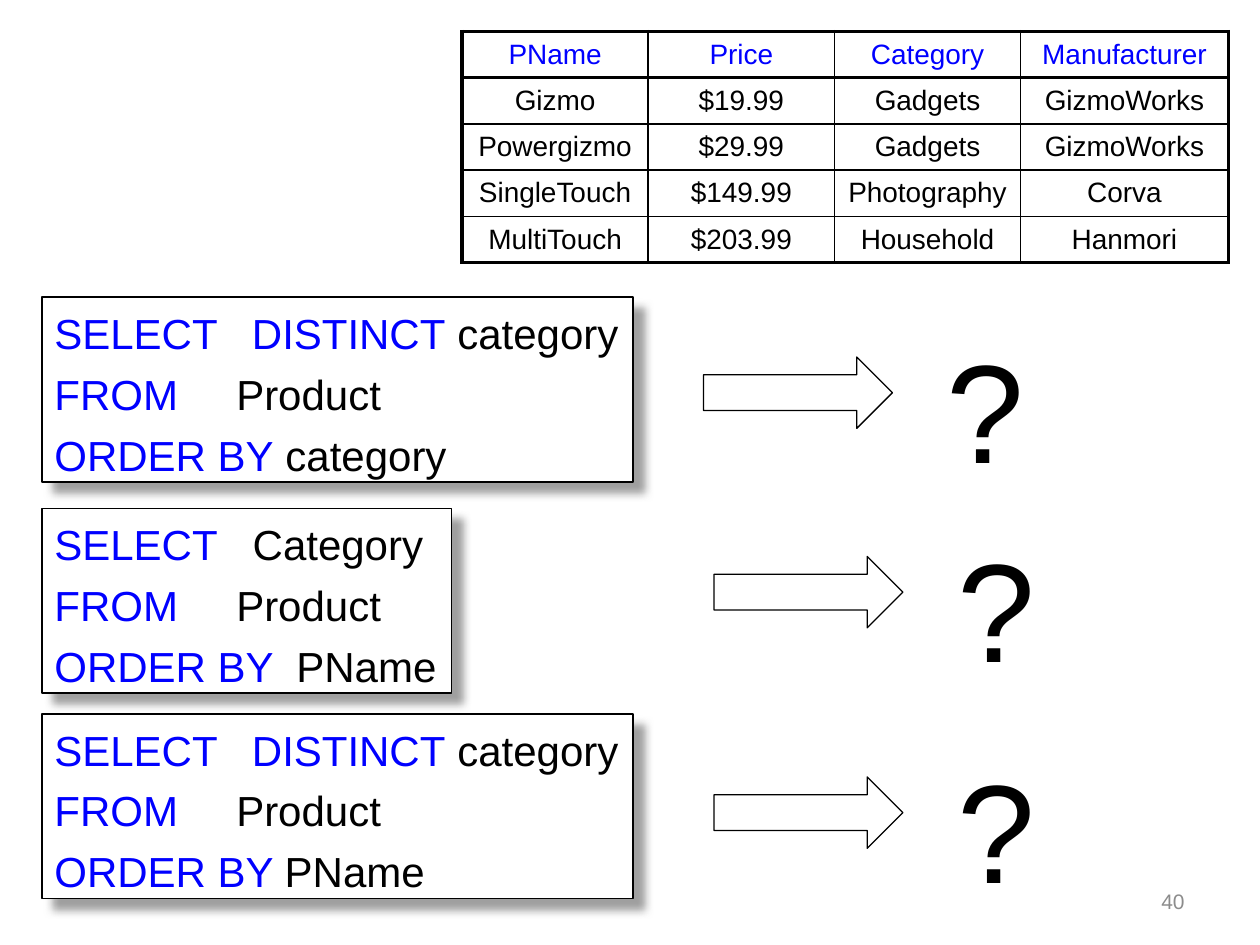
from lxml import etree
from pptx import Presentation
from pptx.dml.color import RGBColor
from pptx.enum.shapes import MSO_SHAPE
from pptx.enum.text import MSO_ANCHOR, PP_ALIGN
from pptx.oxml import parse_xml
from pptx.oxml.ns import nsdecls, qn
from pptx.util import Inches, Pt

RECTANGLE, ARROW = MSO_SHAPE.RECTANGLE, MSO_SHAPE.RIGHT_ARROW
TOP, MIDDLE = MSO_ANCHOR.TOP, MSO_ANCHOR.MIDDLE
LEFT, CENTER, RIGHT = PP_ALIGN.LEFT, PP_ALIGN.CENTER, PP_ALIGN.RIGHT
COLORS = {"keyword": "0000FF", "text": "000000", "paper": "FFFFFF",
          "shadow": "808080", "number": "8C8C8C"}

# Grid of 120 columns by 90 rows
deck = Presentation()
deck.slide_width, deck.slide_height = Inches(10), Inches(7.5)
CELL = deck.slide_width / 120
page = deck.slides.add_slide(deck.slide_layouts[6])


def grid(*cells):
    return [round(cell * CELL) for cell in cells]


def write(frame, lines, size, align=LEFT, gap=0, **layout):
    """Fill a text frame with lines of (text, colour name) spans."""
    for name, value in layout.items():
        setattr(frame, name, value)
    for index, spans in enumerate(lines):
        para = frame.add_paragraph() if index else frame.paragraphs[0]
        para.alignment = align
        para.space_before = Pt(gap if index else 0)
        for text, color in spans:
            span = para.add_run()
            span.text = text
            for name, value in {"name": "Arial", "size": Pt(size)}.items():
                setattr(span.font, name, value)
            span.font.color.rgb = RGBColor.from_string(COLORS[color])


# Page number
box = page.shapes.add_textbox(*grid(86, 83.4, 28, 4.8))
write(box.text_frame, [[("40", "number")]], 12, RIGHT,
      word_wrap=True, vertical_anchor=MIDDLE)

# Product table
products = [
    ["PName", "Price", "Category", "Manufacturer"],
    ["Gizmo", "$19.99", "Gadgets", "GizmoWorks"],
    ["Powergizmo", "$29.99", "Gadgets", "GizmoWorks"],
    ["SingleTouch", "$149.99", "Photography", "Corva"],
    ["MultiTouch", "$203.99", "Household", "Hanmori"],
]
last_row, last_column = len(products) - 1, len(products[0]) - 1
holder = page.shapes.add_table(len(products), len(products[0]), *grid(44, 3, 73, 22))
table = holder.table
table.first_row = table.horz_banding = False
for column, width in zip(table.columns, grid(17.74, 17.74, 17.74, 19.78)):
    column.width = width
for r, product in enumerate(products):
    table.rows[r].height = grid(22 / len(products))[0]
    for c, value in enumerate(product):
        cell = table.cell(r, c)
        cell.vertical_anchor = MIDDLE
        write(cell.text_frame, [[(value, "text" if r else "keyword")]], 16, CENTER)
        # Heavy outer frame and header rule, thin inner rules
        heavy = {"L": c == 0, "R": c == last_column,
                 "T": r <= 1, "B": r in (0, last_row)}
        properties = cell._tc.get_or_add_tcPr()
        for side, is_heavy in heavy.items():
            rule = etree.SubElement(properties, qn(f"a:ln{side}"),
                                    w=str(Pt(2.25 if is_heavy else 1)))
            paint = etree.SubElement(rule, qn("a:solidFill"))
            etree.SubElement(paint, qn("a:srgbClr"), val=COLORS["text"])
        cell.fill.background()

# Queries: top, width, lines of keyword and name
queries = [
    (28.3, 56.3, [("SELECT   DISTINCT", " category"), ("FROM", "     Product"),
                  ("ORDER BY", " category")]),
    (48.4, 39, [("SELECT", "   Category"), ("FROM", "     Product"),
                ("ORDER BY  ", "PName")]),
    (68, 56.3, [("SELECT   DISTINCT", " category"), ("FROM", "     Product"),
                ("ORDER BY ", "PName")]),
]
SHADOW = (f'<a:effectLst {nsdecls("a")}><a:outerShdw blurRad="{Pt(5)}" '
          f'dist="{Pt(8.5)}" dir="2700000" algn="tl" rotWithShape="0">'
          f'<a:srgbClr val="{COLORS["shadow"]}"><a:alpha val="75000"/></a:srgbClr>'
          '</a:outerShdw></a:effectLst>')
for top, width, lines in queries:
    box = page.shapes.add_shape(RECTANGLE, *grid(4, top, width, 17.6))
    box.fill.solid()
    box.fill.fore_color.rgb = RGBColor.from_string(COLORS["paper"])
    box.line.color.rgb = RGBColor.from_string(COLORS["text"])
    box.line.width = Pt(0.75)
    box._element.spPr.append(parse_xml(SHADOW))
    spans = [[(keyword, "keyword"), (name, "text")] for keyword, name in lines]
    write(box.text_frame, spans, 24, gap=6, word_wrap=False,
          vertical_anchor=TOP, margin_top=Inches(0.08))

# Arrows, each leading to a question mark
for left, top in [(67, 34), (68, 53), (68, 74)]:
    arrow = page.shapes.add_shape(ARROW, *grid(left, top, 18, 6.8))
    arrow.shadow.inherit = False
    arrow.fill.background()
    arrow.line.color.rgb = RGBColor.from_string(COLORS["text"])
    arrow.line.width = Pt(0.75)
    box = page.shapes.add_textbox(*grid(left + 22, top - 5, 9.8, 17.2))
    write(box.text_frame, [[("?", "text")]], 80, word_wrap=False,
          vertical_anchor=TOP, margin_top=Inches(0.15))

deck.save("out.pptx")
